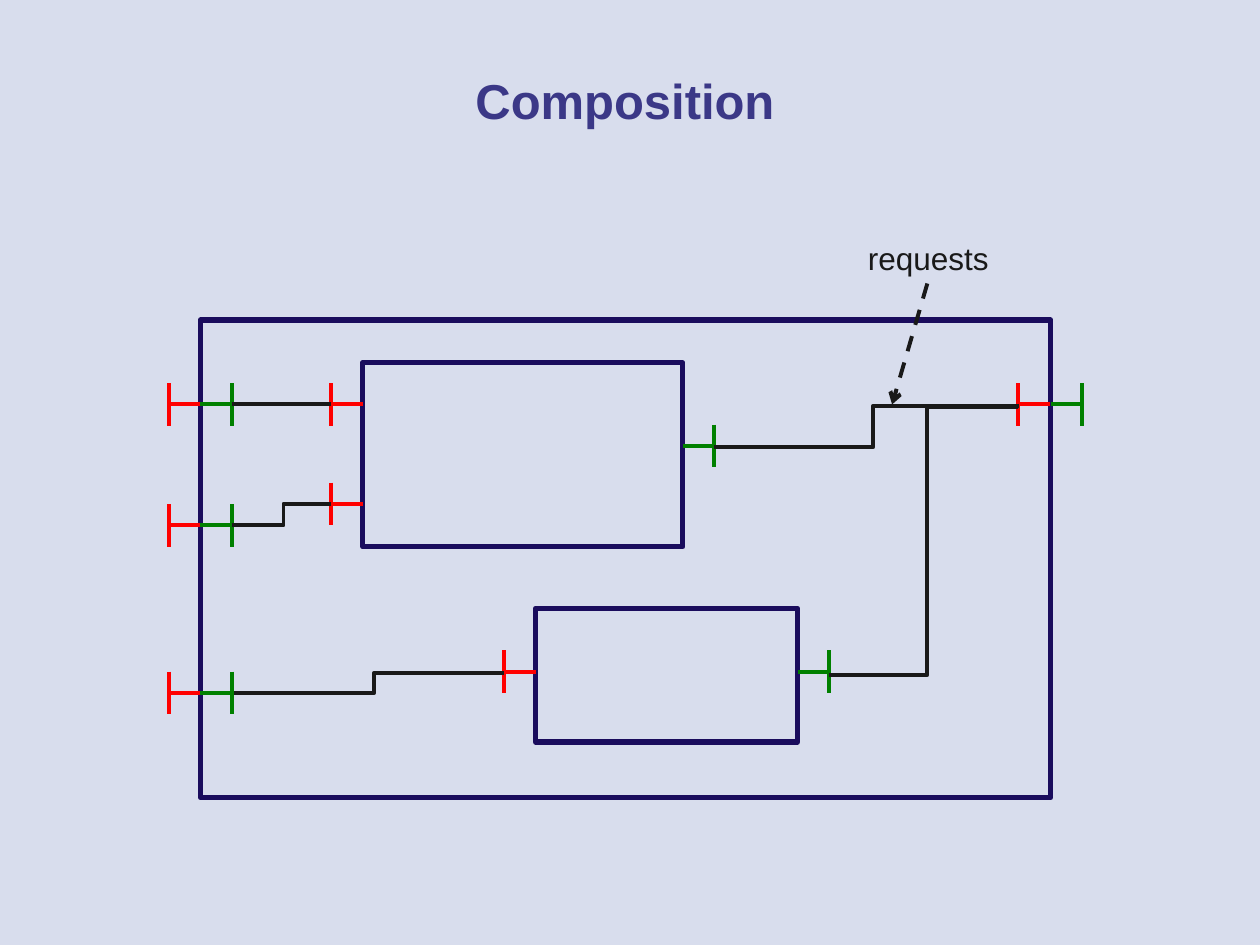
from dataclasses import dataclass

from lxml.etree import SubElement as Sub
from pptx import Presentation
from pptx.dml.color import RGBColor as Rgb
from pptx.enum.dml import MSO_LINE as Dash
from pptx.enum.shapes import MSO_CONNECTOR as Conn, MSO_SHAPE as Shape
from pptx.enum.text import MSO_ANCHOR as Anchor, MSO_AUTO_SIZE as Fit, PP_ALIGN as Align
from pptx.oxml.ns import qn
from pptx.util import Inches, Pt


@dataclass(frozen=True)
class Theme:
    """Hold the colours, font and sizes of the slide."""
    back: str = "D8DDED"
    title: str = "3B3887"
    frame: str = "1A0C5D"
    ink: str = "191919"
    red: str = "FF0000"
    green: str = "008000"
    font: str = "Arial"
    head: int = 28
    label: int = 18
    edge: float = 3
    wire: float = 2.25


THEME = Theme()
STEM = 0.25
HALF = 0.17


def write(slide, text, at, size, color, bold=False, align=Align.LEFT,
          anchor=Anchor.TOP, wrap=True):
    """Add a text box with one formatted line."""
    box = slide.shapes.add_textbox(*map(Inches, at))
    frame = box.text_frame
    frame.word_wrap = wrap
    frame.auto_size = Fit.NONE if wrap else Fit.SHAPE_TO_FIT_TEXT
    frame.vertical_anchor = anchor
    para = frame.paragraphs[0]
    para.alignment = align
    run = para.add_run()
    run.text = text
    font = run.font
    font.name, font.size, font.bold = THEME.font, Pt(size), bold
    font.color.rgb = Rgb.from_string(color)


def block(slide, *at):
    """Add an outlined component box."""
    box = slide.shapes.add_shape(Shape.RECTANGLE, *map(Inches, at))
    box.shadow.inherit = False
    box.fill.background()
    box.line.color.rgb = Rgb.from_string(THEME.frame)
    box.line.width = Pt(THEME.edge)


def link(shapes, start, end, color, kind=Conn.STRAIGHT):
    """Add a plain connector and return it."""
    line = shapes.add_connector(kind, *map(Inches, (*start, *end)))
    line.line.color.rgb = Rgb.from_string(color)
    line.line.width = Pt(THEME.wire)
    Sub(line.element.spPr, qn("a:effectLst"))
    return line


def port(slide, x, y, side, color):
    """Add a T-shaped port whose stem points to the given side."""
    shapes = slide.shapes.add_group_shape().shapes
    tip = x + side * STEM
    link(shapes, (x, y), (tip, y), color)
    link(shapes, (tip, y - HALF), (tip, y + HALF), color)


def wire(slide, start, end, bend):
    """Add an elbow wire that turns at the x given by bend."""
    line = link(slide.shapes, start, end, THEME.ink, Conn.ELBOW)
    ratio = (bend - start[0]) / (end[0] - start[0])
    guides = line.element.spPr.find(qn("a:prstGeom")).find(qn("a:avLst"))
    Sub(guides, qn("a:gd"), name="adj1", fmla=f"val {round(ratio * 100000)}")


def arrow(slide, start, end):
    """Add a dashed arrow."""
    line = link(slide.shapes, start, end, THEME.ink)
    line.line.dash_style = Dash.DASH
    Sub(line.element.spPr.find(qn("a:ln")), qn("a:tailEnd"), type="arrow")


def main():
    """Build and save the slide."""
    deck = Presentation()
    deck.slide_width, deck.slide_height = Inches(10), Inches(7.5)
    slide = deck.slides.add_slide(deck.slide_layouts[6])
    fill = slide.background.fill
    fill.solid()
    fill.fore_color.rgb = Rgb.from_string(THEME.back)

    write(slide, "Composition", (0.44, 0.33, 9.04, 0.92), THEME.head,
          THEME.title, bold=True, align=Align.CENTER, anchor=Anchor.MIDDLE)
    block(slide, 1.59, 2.54, 6.75, 3.79)
    block(slide, 2.88, 2.88, 2.54, 1.46)
    block(slide, 4.25, 4.83, 2.08, 1.06)

    for y in (3.21, 4.17, 5.5):
        port(slide, 1.59, y, -1, THEME.red)
        port(slide, 1.59, y, 1, THEME.green)
    for x, y in ((2.88, 3.21), (2.88, 4), (4.25, 5.33), (8.33, 3.21)):
        port(slide, x, y, -1, THEME.red)
    for x, y in ((5.42, 3.54), (6.33, 5.33), (8.34, 3.21)):
        port(slide, x, y, 1, THEME.green)

    for start, end, bend in (
        ((1.84, 3.21), (2.63, 3.21), 2.23),
        ((1.84, 4.17), (2.63, 4), 2.25),
        ((5.67, 3.55), (8.09, 3.22), 6.93),
        ((6.58, 5.36), (8.08, 3.23), 7.36),
        ((1.86, 5.5), (4, 5.34), 2.97),
    ):
        wire(slide, start, end, bend)

    write(slide, "requests", (6.79, 1.85, 1.16, 0.4), THEME.label,
          THEME.ink, wrap=False)
    arrow(slide, (7.36, 2.25), (7.08, 3.21))
    deck.save("out.pptx")


if __name__ == "__main__":
    main()
